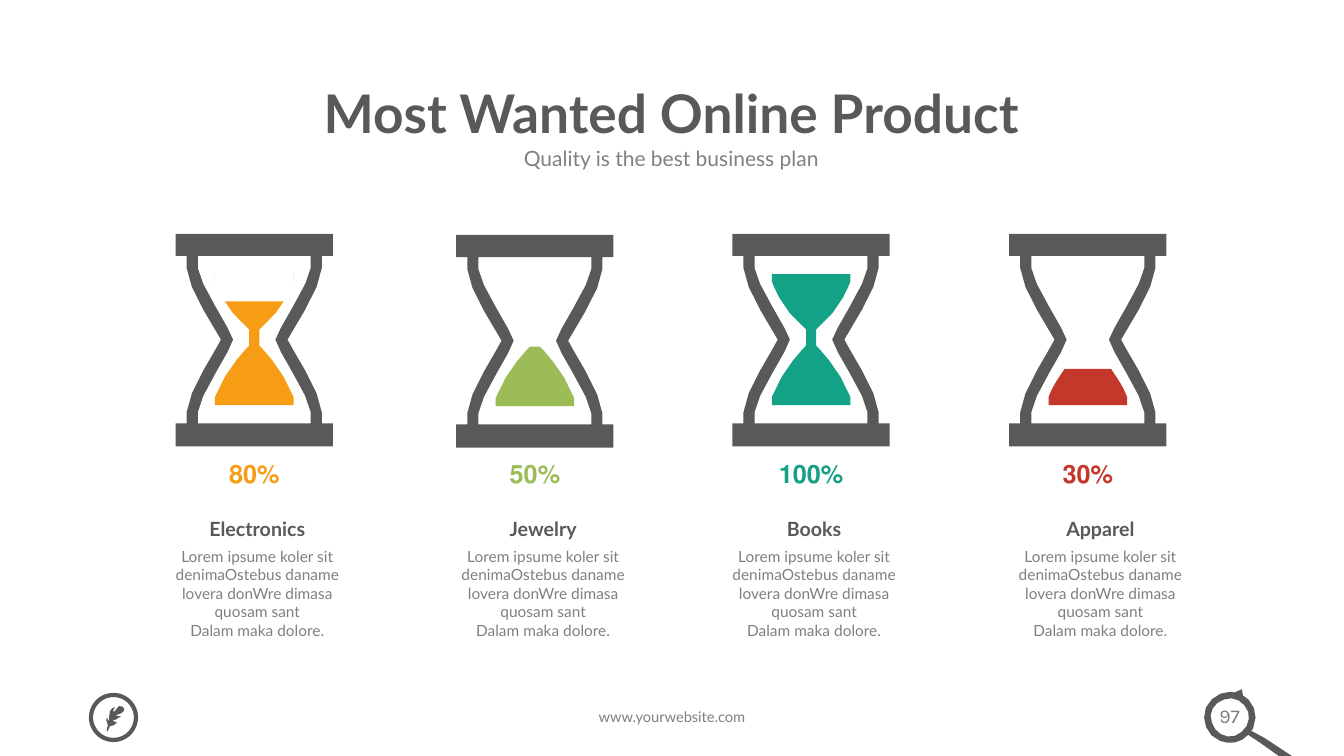
import pptx
import pptx.util
import pptx.dml.color
import pptx.enum.shapes
import pptx.enum.text

W, H = 13.33, 7.5
INK = {"dark": "595959", "grey": "808080", "white": "FFFFFF", "gold": "F69C15",
       "lime": "9CBC58", "teal": "13A286", "mint": "16A086", "red": "C3382B"}
KIND = pptx.enum.shapes.MSO_SHAPE
BLURB = ("Lorem ipsume koler sit denimaOstebus daname lovera donWre dimasa "
         "quosam sant\nDalam maka dolore.")

# Right-hand profiles of the hourglass, from its axis, on a 157 x 211 grid.
# Two numbers make a line, six make a Bezier curve.
OUTER = [(78, 0), (78, 22), (67, 22), (67, 34), (67, 53, 34, 102, 33, 105),
         (34, 109, 67, 158, 67, 177), (67, 188), (78, 188), (78, 211)]
INNER = [(56, 22), (56, 34), (56, 47, 21, 99, 21, 105),
         (21, 112, 56, 163, 56, 177), (56, 188)]
HEAP = [(5, 111), (5, 111, 28, 133, 39, 162), (39, 170)]
FULL = [(39, 40), (39, 47), (39, 47, 31, 74, 5, 95)] + HEAP
LOW = [(23, 134), (29, 143, 35, 151, 39, 162), (39, 170)]

# Feather and magnifying glass in hundredths of an inch from their corners.
PLUME = [(2, 25), (2, 24, 3, 22, 4, 20), (7, 19, 9, 20, 11, 16), (9, 16, 7, 15, 7, 14),
         (7, 13, 12, 15, 15, 10), (11, 11, 10, 9, 10, 9), (12, 8, 15, 8, 17, 6),
         (18, 5, 19, 3, 18, 2), (18, 1, 15, -1, 13, 0), (12, 0, 9, 6, 8, 6),
         (7, 6, 7, 3, 9, 1), (7, 1, 5, 3, 4, 5), (2, 8, 4, 15, 3, 15),
         (3, 16, 1, 12, 1, 11), (0, 13, 0, 15, 2, 19), (1, 21, 1, 23, 1, 25)]
RIM = [(101, 74), (63, 49), (50, 42), (51, 41, 52, 40, 52, 39), (58, 26, 52, 11, 39, 5),
       (26, 0, 11, 6, 5, 19), (0, 32, 6, 47, 19, 52), (29, 56, 40, 54, 47, 46),
       (59, 54), (97, 81), (101, 79), (104, 77)]
HOLE = [(34, 47), (24, 50, 14, 44, 11, 34), (7, 24, 13, 14, 23, 11),
        (33, 7, 43, 13, 47, 23), (50, 33, 44, 43, 34, 47)]

# Name, share, sand colour, share colour, sand profile, glass axis, text axis, drop
GOODS = [("Electronics", "80%", "gold", "gold", FULL, .1892, .1915, 0),
         ("Jewelry", "50%", "lime", "lime", HEAP, .398, .4042, .01),
         ("Books", "100%", "teal", "mint", FULL, .6035, .6058, 0),
         ("Apparel", "30%", "red", "red", LOW, .8094, .8188, 0)]


def rgb(name):
    return pptx.dml.color.RGBColor.from_string(INK[name])


def inch(*nums):
    return [pptx.util.Inches(n) for n in nums]


def flat(line, steps=4):
    """Turn lines and curves into plain points."""
    pts = []
    for part in line:
        if len(part) == 2:
            pts.append(part)
            continue
        a, b, c, d = pts[-1], part[:2], part[2:4], part[4:]
        for i in range(1, steps + 1):
            t = i / steps
            s = 1 - t
            pts.append(tuple(s**3 * a[k] + 3 * s * s * t * b[k] + 3 * s * t * t * c[k]
                             + t**3 * d[k] for k in (0, 1)))
    return pts


def both(half):
    pts = flat(half)
    return pts + [(-x, y) for x, y in reversed(pts)]


def paint(shape, ink):
    shape.shadow.inherit = False
    shape.fill.solid()
    shape.fill.fore_color.rgb = rgb(ink)
    shape.line.fill.background()
    return shape


def form(slide, rings, x, y, unit, ink):
    rings = [[tuple(inch(x + u * unit, y + v * unit)) for u, v in ring] for ring in rings]
    pen = slide.shapes.build_freeform(*rings[0][0], scale=1.0)
    for i, ring in enumerate(rings):
        if i:
            pen.move_to(*ring[0])
        pen.add_line_segments(ring[1:], close=True)
    paint(pen.convert_to_shape(), ink)


def style(frame, words, size, ink, bold=False, font="Lato", gap=None):
    frame.text = words
    frame.word_wrap = True
    for para in frame.paragraphs:
        para.alignment = pptx.enum.text.PP_ALIGN.CENTER
        if gap:
            para.line_spacing = gap
        for run in para.runs:
            run.font.size = pptx.util.Pt(size)
            run.font.name = font
            run.font.bold = bold
            run.font.color.rgb = rgb(ink)


def label(slide, box, words, size, ink, **more):
    frame = slide.shapes.add_textbox(*inch(*box)).text_frame
    style(frame, words, size, ink, **more)
    return frame


def header(slide, x, y, w, h):
    title = slide.shapes.title
    title.left, title.top, title.width, title.height = inch(x, y, w, h * .82)
    frame = title.text_frame
    style(frame, "Most Wanted Online Product", 38, "dark", bold=True, gap=.9)
    frame.auto_size = pptx.enum.text.MSO_AUTO_SIZE.NONE
    frame.vertical_anchor = pptx.enum.text.MSO_ANCHOR.MIDDLE
    sub = label(slide, (x + w * .1, y + h * .63, w * .8, h * .39),
                "Quality is the best business plan", 15, "grey")
    sub.margin_top = sub.margin_bottom = pptx.util.Inches(.07)


def glass(slide, axis, y, h, ink, sand):
    unit = h / 211
    form(slide, [both(OUTER), both(INNER)], axis, y, unit, "dark")
    form(slide, [both(sand)], axis, y, unit, ink)


def card(slide, item, y, w, h):
    name, share, sand, ink, half, axis, mid, drop = item
    axis, mid, top = axis * W, mid * W, y + drop
    glass(slide, axis, top, h * .541, sand, half)
    if share == "80%":
        box = inch(axis - w * .174, y + h * .1, w * .348, h * .072)
        paint(slide.shapes.add_shape(KIND.RECTANGLE, *box), "white")
    frame = label(slide, (axis - w * .325, y + h * .558, w * .65, h * .1),
                  share, 18, ink, bold=True)
    frame.paragraphs[0]._p.get_or_add_pPr().set("rtl", "1")
    left = mid - w / 2
    label(slide, (left, y + h * .677, w, h * .115), name, 14, "dark", bold=True, gap=1.5)
    label(slide, (left, y + h * .784, w, h * .215), BLURB, 11, "grey")


def badge(slide, x, y, d):
    """Feather in a ring."""
    ring = slide.shapes.add_shape(KIND.OVAL, *inch(x, y, d, d))
    ring.shadow.inherit = False
    ring.fill.background()
    ring.line.color.rgb = rgb("dark")
    ring.line.width = pptx.util.Pt(3)
    form(slide, [flat(PLUME, 2)], x + d / 3, y + d / 4, d / 45, "dark")


def lens(slide, x, y, w):
    """Page number in a magnifying glass."""
    label(slide, (x - w * .02, y + w * .1, w * .59, w * .33), "97", 14, "grey", font="Karla")
    tip = paint(slide.shapes.add_shape(
        KIND.RIGHT_ARROW, *inch(x + w * .31, y, w * .11, w * .11)), "dark")
    tip.adjustments[0], tip.adjustments[1] = .32, .64
    tip.rotation = 298.7
    form(slide, [flat(RIM), flat(HOLE)], x, y, w / 104, "dark")


def footer(slide, y, h):
    badge(slide, W * .0677, y + h * .05, h * .7)
    label(slide, (W * .319, y + h * .17, W * .362, h * .45), "www.yourwebsite.com", 10.5, "grey")
    lens(slide, W * .8935, y - h * .05, W * .078)


def main():
    deck = pptx.Presentation()
    deck.slide_width, deck.slide_height = inch(W, H)
    slide = deck.slides.add_slide(deck.slide_layouts[5])
    header(slide, W * .1245, H * .099, W * .75, H * .133)
    for item in GOODS:
        card(slide, item, H * .3093, W * .168, H * .52)
    footer(slide, H * .915, H * .085)
    deck.save("out.pptx")


if __name__ == "__main__":
    main()
